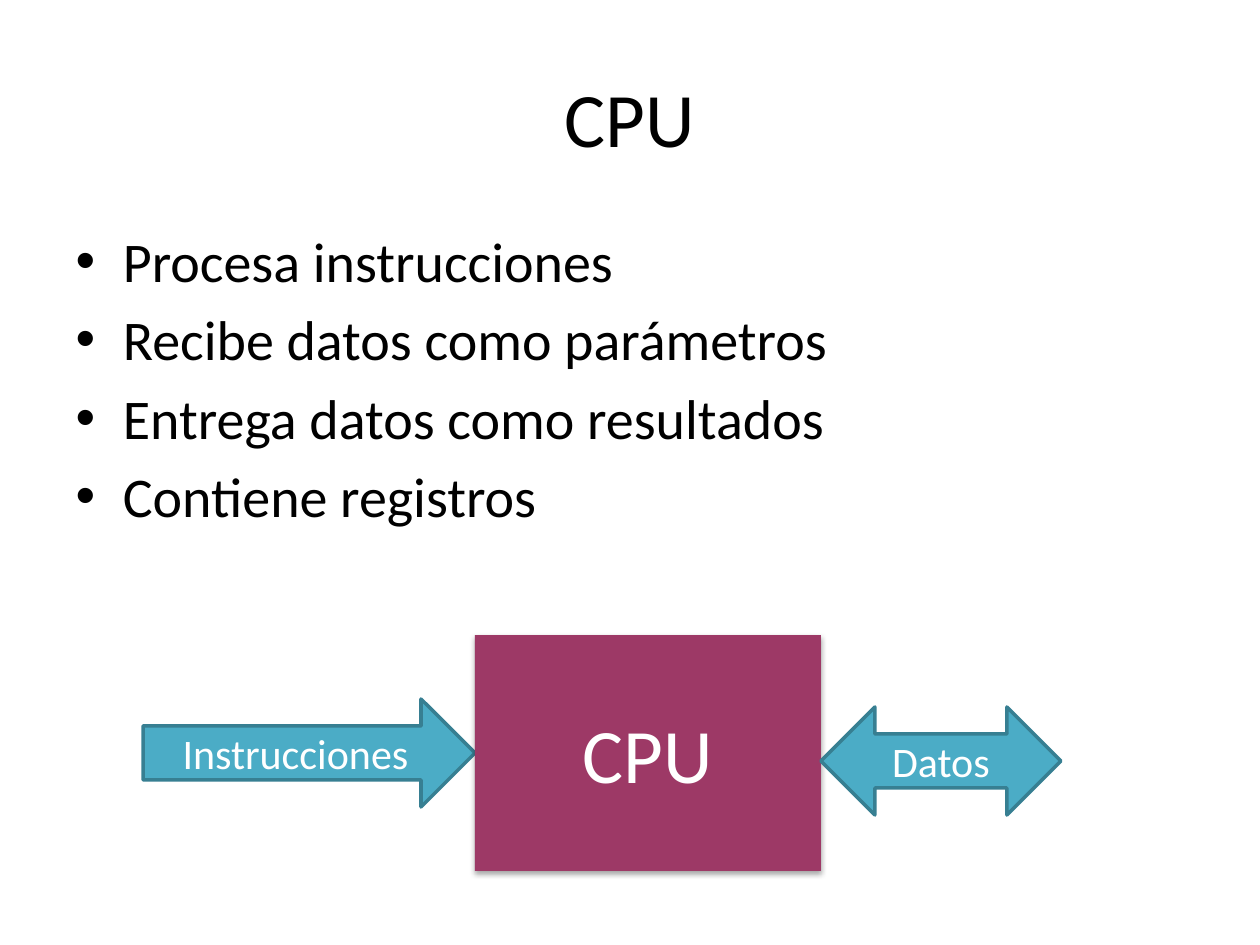
from lxml import etree
from pptx import Presentation
from pptx.dml.color import RGBColor
from pptx.enum.shapes import MSO_SHAPE
from pptx.enum.text import MSO_ANCHOR, PP_ALIGN
from pptx.oxml.ns import qn
from pptx.util import Pt

PX = 914400 / 126
BLACK = RGBColor(0x00, 0x00, 0x00)
WHITE = RGBColor(0xFF, 0xFF, 0xFF)
TEAL = RGBColor(0x4B, 0xAC, 0xC6)
DARK_TEAL = RGBColor(0x37, 0x7F, 0x92)
PLUM = RGBColor(0x9D, 0x39, 0x66)


def px(*lengths):
    return [round(length * PX) for length in lengths]


def format_text(text_frame, size, color):
    for paragraph in text_frame.paragraphs:
        for run in paragraph.runs:
            run.font.name = "Calibri"
            run.font.size = Pt(size)
            run.font.color.rgb = color


presentation = Presentation()
presentation.slide_width, presentation.slide_height = px(1260, 945)
slide = presentation.slides.add_slide(presentation.slide_layouts[1])

title, body = slide.placeholders
title.left, title.top, title.width, title.height = px(63, 38, 1134, 158)
title.text_frame.text = "CPU"
format_text(title.text_frame, 44, BLACK)

body.left, body.top, body.width, body.height = px(63, 220, 1134, 624)
body.text_frame.text = "\n".join([
    "Procesa instrucciones",
    "Recibe datos como parámetros",
    "Entrega datos como resultados",
    "Contiene registros",
])
format_text(body.text_frame, 32, BLACK)

# Diagram: instructions flow into the CPU, data flows both ways
diagram = slide.shapes.add_group_shape()
parts = [
    (MSO_SHAPE.RIGHT_ARROW, "Instrucciones", (143, 699, 332, 108), TEAL, DARK_TEAL, 24),
    (MSO_SHAPE.RECTANGLE, "CPU", (475, 635, 346, 236), PLUM, None, 44),
    (MSO_SHAPE.LEFT_RIGHT_ARROW, "Datos", (821, 707, 240, 108), TEAL, DARK_TEAL, 24),
]
for kind, label, box, fill, line, size in parts:
    shape = diagram.shapes.add_shape(kind, *px(*box))
    shape.shadow.inherit = False
    shape.fill.solid()
    shape.fill.fore_color.rgb = fill
    if line is not None:
        shape.line.color.rgb = line
        shape.line.width = Pt(2)
    else:
        shape.line.fill.background()
        effects = shape._element.spPr.find(qn("a:effectLst"))
        shadow = etree.SubElement(effects, qn("a:outerShdw"), blurRad=str(Pt(3.1)),
                                  dist=str(Pt(1.8)), dir="5400000", rotWithShape="0")
        shadow_color = etree.SubElement(shadow, qn("a:srgbClr"), val=str(BLACK))
        etree.SubElement(shadow_color, qn("a:alpha"), val="35000")
    shape.text_frame.text = label
    shape.text_frame.vertical_anchor = MSO_ANCHOR.MIDDLE
    shape.text_frame.paragraphs[0].alignment = PP_ALIGN.CENTER
    format_text(shape.text_frame, size, WHITE)

presentation.save("out.pptx")
